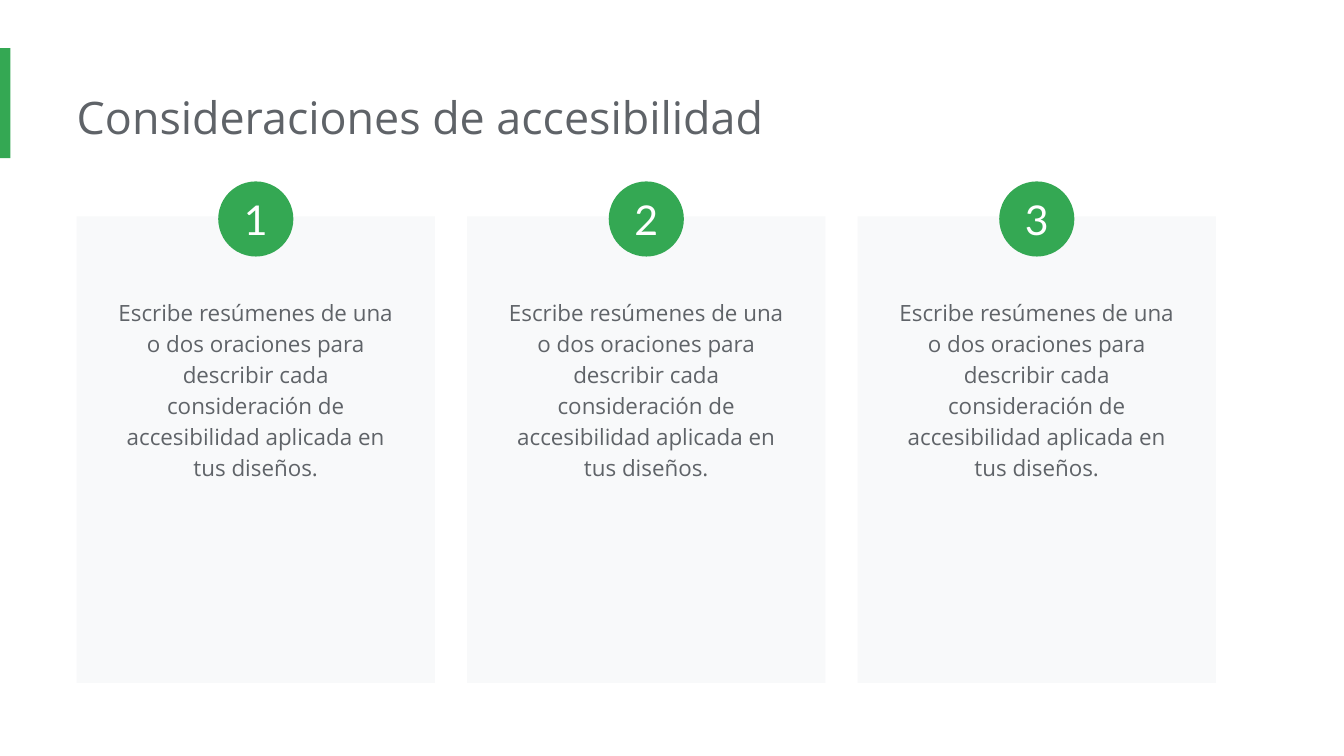
from pptx import Presentation
from pptx.dml.color import RGBColor
from pptx.enum import shapes, text
from pptx.util import Cm, Pt

COLORS = {"green": "34A853", "gray": "5F6368", "card": "F8F9FA", "white": "FFFFFF"}
SUMMARY = ("Escribe resúmenes de una o dos oraciones para describir cada "
           "consideración de accesibilidad aplicada en tus diseños.")
INSET = Cm(0.25)


def add_filled(page, kind, box, color):
    shape = page.shapes.add_shape(kind, *box)
    shape.shadow.inherit = False
    shape.fill.solid()
    shape.fill.fore_color.rgb = RGBColor.from_string(COLORS[color])
    shape.line.fill.background()
    return shape


def write(shape, words, font, size, color, align, insets, anchor):
    frame = shape.text_frame
    frame.word_wrap = True
    frame.vertical_anchor = anchor
    (frame.margin_left, frame.margin_top,
     frame.margin_right, frame.margin_bottom) = insets
    para = frame.paragraphs[0]
    para.text = words
    para.alignment = align
    para.font.name = font
    para.font.size = Pt(size)
    para.font.color.rgb = RGBColor.from_string(COLORS[color])
    return para


def add_heading(page, box, words):
    title = page.shapes.title
    title.left, title.top, title.width, title.height = box
    write(title, words, "Open Sans", 24, "gray", text.PP_ALIGN.LEFT,
          (0, INSET, INSET, INSET), text.MSO_ANCHOR.TOP)
    title.text_frame.auto_size = text.MSO_AUTO_SIZE.SHAPE_TO_FIT_TEXT


def add_card(page, box, number):
    left, top, width, height = box
    add_filled(page, shapes.MSO_SHAPE.RECTANGLE, box, "card")

    # Summary, centred across the card
    side = Cm(0.53)
    summary = page.shapes.add_textbox(left + side, top + Cm(1.24),
                                      width - 2 * side, Cm(3.45))
    para = write(summary, SUMMARY, "Open Sans", 12, "gray", text.PP_ALIGN.CENTER,
                 (INSET,) * 4, text.MSO_ANCHOR.TOP)
    para.line_spacing = 1.15
    summary.text_frame.auto_size = text.MSO_AUTO_SIZE.SHAPE_TO_FIT_TEXT

    # Number badge straddling the top edge
    size = Cm(1.42)
    badge = add_filled(page, shapes.MSO_SHAPE.OVAL,
                       (left + (width - size) // 2, top - Cm(0.66), size, size), "green")
    write(badge, str(number), "Lato", 22, "white", text.PP_ALIGN.CENTER,
          (0,) * 4, text.MSO_ANCHOR.MIDDLE)


def main():
    deck = Presentation()
    deck.slide_width, deck.slide_height = Cm(25.4), Cm(14.29)
    page = deck.slides.add_slide(deck.slide_layouts.get_by_name("Title Only"))

    # Accent bar and title
    add_filled(page, shapes.MSO_SHAPE.RECTANGLE,
               (0, Cm(0.91), Cm(0.2), Cm(2.08)), "green")
    left = Cm(1.45)
    add_heading(page, (left, Cm(1.45), Cm(19.46), Cm(1.55)),
                "Consideraciones de accesibilidad")

    # Three equally spaced cards
    width, gap = Cm(6.77), Cm(0.61)
    for index in range(3):
        add_card(page, (left + index * (width + gap), Cm(4.09), width, Cm(8.82)),
                 index + 1)

    deck.save("out.pptx")


if __name__ == "__main__":
    main()
